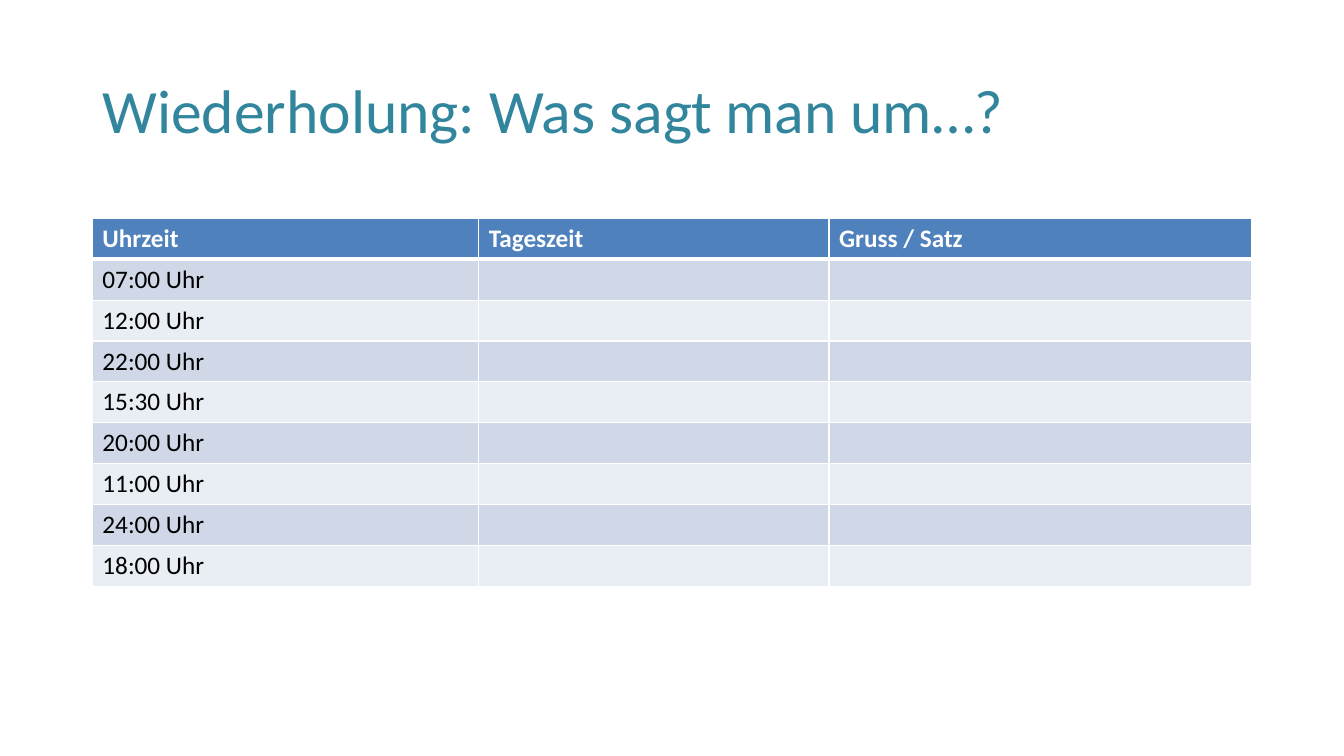
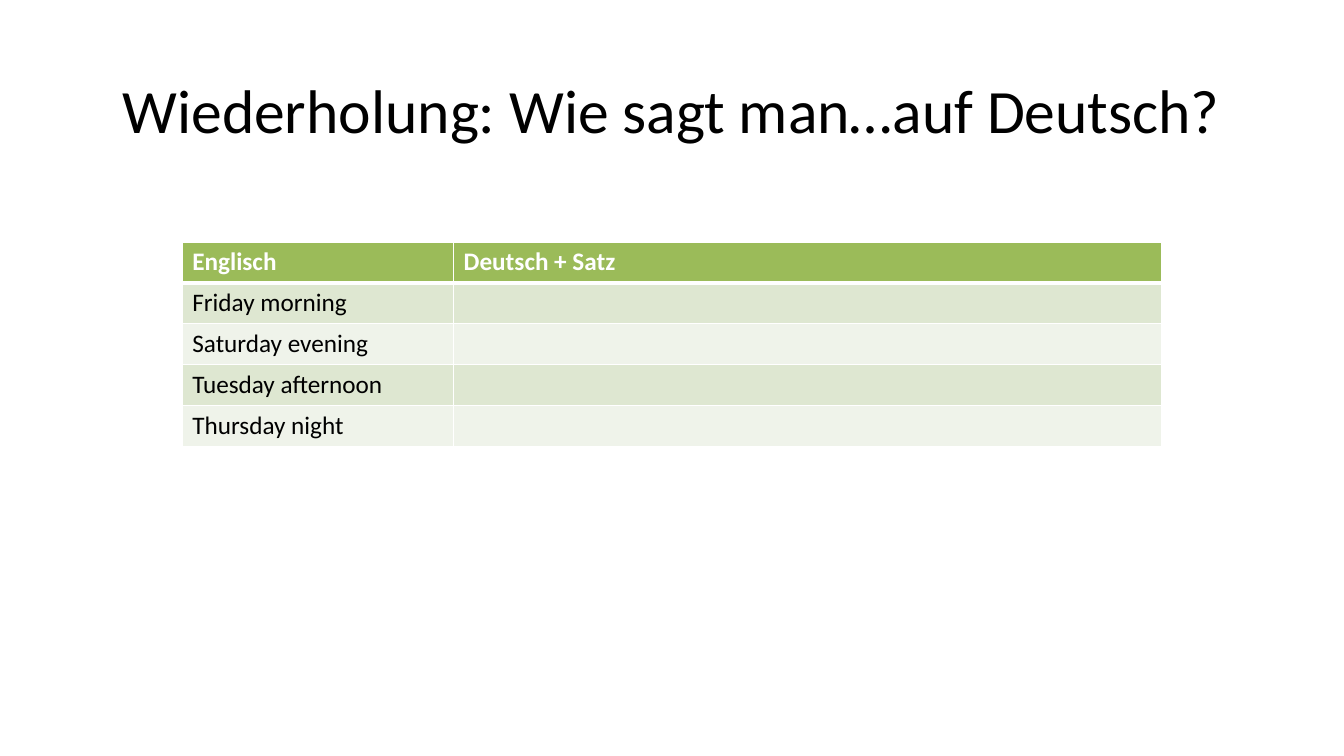
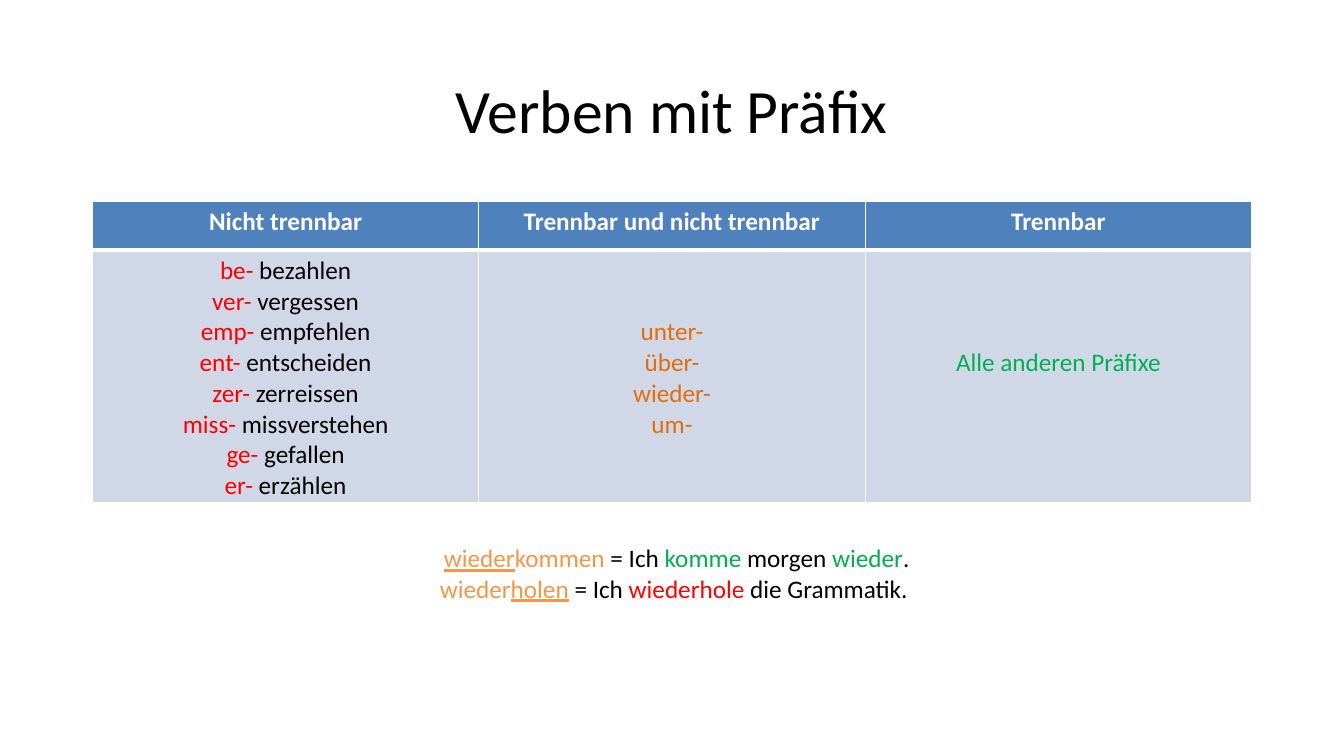
"""Builds three German lesson slides: two revision tables and a verb prefix overview."""
from dataclasses import dataclass

from lxml import etree
from pptx import Presentation, util as u
from pptx.dml.color import RGBColor
from pptx.enum import text
from pptx.oxml.ns import qn

FONT = "Calibri"
BLACK = RGBColor(0x00, 0x00, 0x00)
WHITE = RGBColor(0xFF, 0xFF, 0xFF)
TEAL = RGBColor(0x31, 0x85, 0x9C)
RED = RGBColor(0xFF, 0x00, 0x00)
GREEN = RGBColor(0x00, 0xB0, 0x50)
ORANGE = RGBColor(0xF7, 0x96, 0x46)
DARK_ORANGE = RGBColor(0xE4, 0x6C, 0x0A)
LEFT, CENTER = text.PP_ALIGN.LEFT, text.PP_ALIGN.CENTER

SLIDE_W, SLIDE_H = u.Inches(13.33), u.Inches(7.5)
GRID_COLS, GRID_ROWS = 160, 90
MARGIN, CONTENT = 11, 138
ROW = 4.87
LINE = 3.66
CELL_PAD = 0.6


@dataclass(frozen=True)
class Run:
    text: str
    color: RGBColor = BLACK
    underline: bool = False
    bold: bool = False


@dataclass(frozen=True)
class Box:
    left: float
    top: float
    width: float
    height: float


@dataclass(frozen=True)
class Cell:
    lines: tuple[tuple[Run, ...], ...] = ()
    lead_lines: int = 0


@dataclass(frozen=True)
class Theme:
    header: RGBColor
    bands: tuple[RGBColor, RGBColor]


@dataclass(frozen=True)
class Grid:
    left: float
    top: float
    cols: tuple[float, ...]
    rows: tuple[float, ...]
    theme: Theme
    align: text.PP_ALIGN = LEFT


BLUE_THEME = Theme(RGBColor(0x4F, 0x81, 0xBD),
                   (RGBColor(0xD0, 0xD8, 0xE8), RGBColor(0xE9, 0xED, 0xF4)))
GREEN_THEME = Theme(RGBColor(0x9B, 0xBB, 0x59),
                    (RGBColor(0xDE, 0xE7, 0xD1), RGBColor(0xEF, 0xF3, 0xEA)))
TITLE_BOX = Box(MARGIN, 4.8, CONTENT, 17.4)


def x(cols: float) -> int:
    """Converts grid columns to a length."""
    return round(SLIDE_W * cols / GRID_COLS)


def y(rows: float) -> int:
    """Converts grid rows to a length."""
    return round(SLIDE_H * rows / GRID_ROWS)


def write(tf, lines, *, size: float = 18, align=LEFT, spacing: float = 1.0) -> None:
    """Fills a text frame with lines of formatted runs."""
    for i, line in enumerate(lines):
        p = tf.add_paragraph() if i else tf.paragraphs[0]
        p.alignment, p.line_spacing = align, spacing
        for run in line:
            r = p.add_run()
            r.text = run.text
            r.font.name, r.font.size = FONT, u.Pt(size)
            r.font.color.rgb = run.color
            r.font.bold, r.font.underline = run.bold, run.underline


def add_text(s, box: Box, lines, *, anchor=text.MSO_ANCHOR.TOP, **style) -> None:
    """Adds a wrapping text box."""
    sp = s.shapes.add_textbox(x(box.left), y(box.top), x(box.width), y(box.height))
    tf = sp.text_frame
    tf.word_wrap, tf.vertical_anchor = True, anchor
    write(tf, lines, **style)


def add_slide(prs, title: str, *, color=BLACK, align=CENTER):
    """Adds a blank slide with the shared title style."""
    s = prs.slides.add_slide(prs.slide_layouts[6])
    add_text(s, TITLE_BOX, [(Run(title, color),)], anchor=text.MSO_ANCHOR.MIDDLE,
             size=44, align=align, spacing=0.9)
    return s


def set_borders(cell, **widths: float) -> None:
    """Draws white cell borders with the given side widths in points."""
    tc_pr = cell._tc.get_or_add_tcPr()
    for side in "LRTB":
        ln = etree.SubElement(tc_pr, qn(f"a:ln{side}"), w=str(u.Pt(widths.get(side, 1))))
        fill = etree.SubElement(ln, qn("a:solidFill"))
        etree.SubElement(fill, qn("a:srgbClr"), val=str(WHITE))


def add_grid(s, grid: Grid, headers: list[str], body: list[list[Cell]]) -> None:
    """Adds a table with a coloured header and banded rows."""
    head = [Cell(((Run(h, WHITE, bold=True),),)) for h in headers]
    table = s.shapes.add_table(len(grid.rows), len(grid.cols), x(grid.left), y(grid.top),
                               x(sum(grid.cols)), y(sum(grid.rows))).table
    table.horz_banding = False
    for column, width in zip(table.columns, grid.cols):
        column.width = x(width)
    for i, (height, content) in enumerate(zip(grid.rows, [head, *body])):
        table.rows[i].height = y(height)
        color = grid.theme.bands[(i - 1) % 2] if i else grid.theme.header
        for j, item in enumerate(content):
            cell = table.cell(i, j)
            set_borders(cell, T=3 if i == 1 else 1, B=1 if i else 3)
            cell.fill.solid()
            cell.fill.fore_color.rgb = color
            cell.margin_top = y(CELL_PAD + item.lead_lines * LINE)
            write(cell.text_frame, item.lines, align=grid.align)


def add_exercise(s, left: float, top: float, cols: tuple[float, ...], theme: Theme,
                 headers: list[str], prompts: list[str]) -> None:
    """Adds a table with prompts in the first column and empty answer cells."""
    body = [[Cell(((Run(prompt),),))] + [Cell()] * (len(cols) - 1) for prompt in prompts]
    add_grid(s, Grid(left, top, cols, (ROW,) * (len(prompts) + 1), theme), headers, body)


def build_times(prs) -> None:
    """Builds the slide on times of day."""
    s = add_slide(prs, "Wiederholung: Was sagt man um…?", color=TEAL, align=LEFT)
    hours = ["07:00", "12:00", "22:00", "15:30", "20:00", "11:00", "24:00", "18:00"]
    add_exercise(s, MARGIN, 26, (46, 41.7, 50.3), BLUE_THEME,
                 ["Uhrzeit", "Tageszeit", "Gruss / Satz"], [f"{h} Uhr" for h in hours])


def build_translations(prs) -> None:
    """Builds the slide on translating days and times."""
    s = add_slide(prs, "Wiederholung: Wie sagt man…auf Deutsch?")
    add_exercise(s, 21.7, 28.8, (32.3, 84.3), GREEN_THEME, ["Englisch", "Deutsch + Satz"],
                 ["Friday morning", "Saturday evening", "Tuesday afternoon", "Thursday night"])


def build_prefixes(prs) -> None:
    """Builds the slide on verb prefixes."""
    s = add_slide(prs, "Verben mit Präfix")
    verbs = {"be": "bezahlen", "ver": "vergessen", "emp": "empfehlen", "ent": "entscheiden",
             "zer": "zerreissen", "miss": "missverstehen", "ge": "gefallen", "er": "erzählen"}
    fixed = tuple((Run(f"{prefix}- ", RED), Run(verb)) for prefix, verb in verbs.items())
    mixed = tuple((Run(f"{prefix}-", DARK_ORANGE),)
                  for prefix in ("unter", "über", "wieder", "um"))
    others = ((Run("Alle anderen Präfixe", GREEN),),)
    grid = Grid(MARGIN, 24, (CONTENT / 3,) * 3, (5.8, 30), BLUE_THEME, CENTER)
    add_grid(s, grid, ["Nicht trennbar", "Trennbar und nicht trennbar", "Trennbar"],
             [[Cell(fixed), Cell(mixed, 2), Cell(others, 3)]])
    examples = [
        (Run("wieder", ORANGE, True), Run("kommen", ORANGE), Run(" = Ich "),
         Run("komme", GREEN), Run(" morgen "), Run("wieder", GREEN), Run(".")),
        (Run("wieder", ORANGE), Run("holen", ORANGE, True), Run(" = Ich "),
         Run("wiederhole", RED), Run(" die Grammatik. ")),
    ]
    add_text(s, Box(12.1, 64, 136.9, 8.5), examples, align=CENTER)


def main() -> None:
    """Builds and saves the presentation."""
    prs = Presentation()
    prs.slide_width, prs.slide_height = SLIDE_W, SLIDE_H
    for build in (build_times, build_translations, build_prefixes):
        build(prs)
    prs.save("out.pptx")


main()
